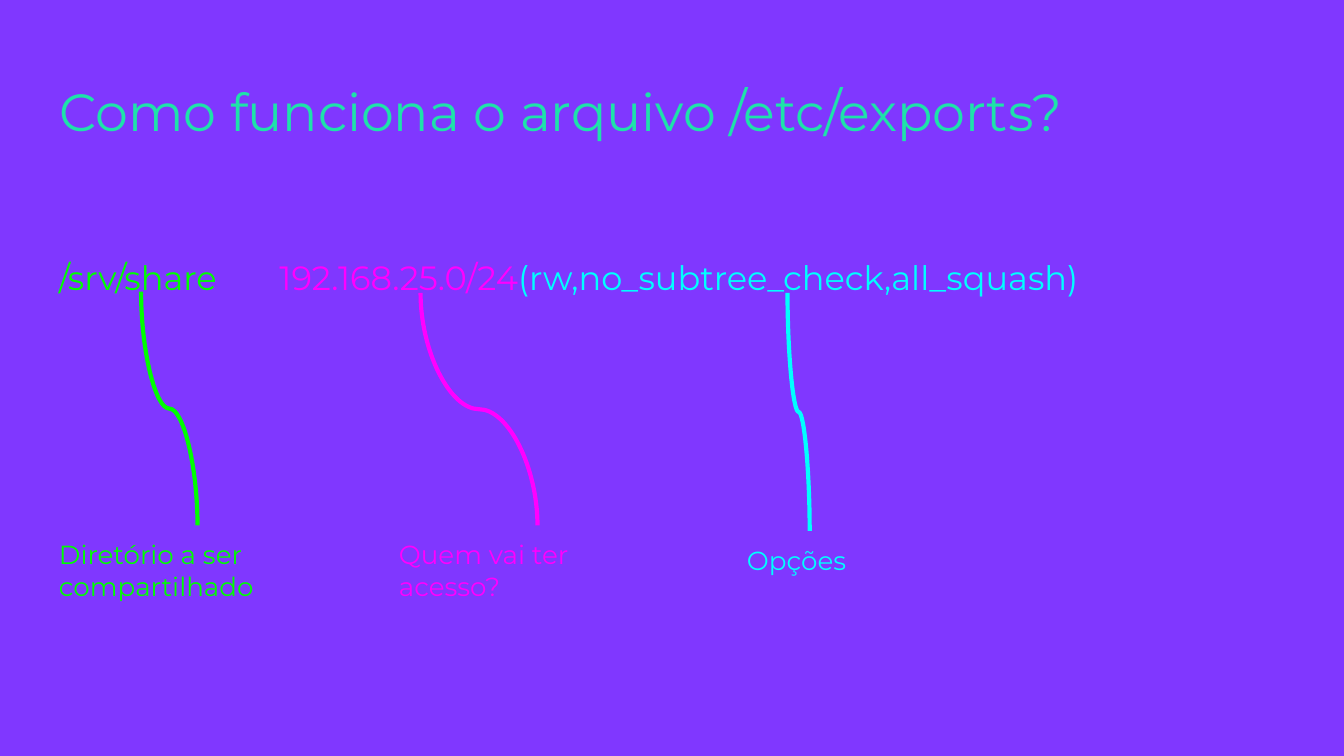
import dataclasses

import lxml.etree
import pptx
import pptx.dml.color
import pptx.enum.shapes
import pptx.enum.text
import pptx.oxml.ns
import pptx.util

Inches = pptx.util.Inches
qn = pptx.oxml.ns.qn


@dataclasses.dataclass(frozen=True)
class Theme:
    font: str = "Montserrat"
    background: str = "8037FF"
    title: str = "1EE2AA"
    directory: str = "00FF00"
    client: str = "FF00FF"
    options: str = "00FFFF"
    title_size: int = 28
    entry_size: int = 18
    label_size: int = 14
    line_width: float = 2.25


THEME = Theme()


def color(value):
    return pptx.dml.color.RGBColor.from_string(value)


def style_run(run, size, value):
    run.font.name = THEME.font
    run.font.size = pptx.util.Pt(size)
    run.font.color.rgb = color(value)


def prepare_frame(text_frame):
    text_frame.word_wrap = True
    text_frame.auto_size = pptx.enum.text.MSO_AUTO_SIZE.NONE
    text_frame.vertical_anchor = pptx.enum.text.MSO_ANCHOR.TOP
    text_frame.margin_left = text_frame.margin_right = Inches(0.1)
    text_frame.margin_top = text_frame.margin_bottom = Inches(0.1)


def set_title(slide, text):
    title = slide.shapes.title
    title.left, title.top = Inches(0.34), Inches(0.49)
    title.width, title.height = Inches(9.32), Inches(0.63)
    prepare_frame(title.text_frame)
    title.text_frame.text = text
    paragraph = title.text_frame.paragraphs[0]
    paragraph.alignment = pptx.enum.text.PP_ALIGN.LEFT
    paragraph.line_spacing = 1.0
    style_run(paragraph.runs[0], THEME.title_size, THEME.title)


def add_text(slide, left, top, width, height, parts, size):
    box = slide.shapes.add_textbox(Inches(left), Inches(top), Inches(width), Inches(height))
    prepare_frame(box.text_frame)
    paragraph = box.text_frame.paragraphs[0]
    for text, value in parts:
        run = paragraph.add_run()
        run.text = text
        style_run(run, size, value)
    return paragraph


def add_tab_stop(paragraph, position):
    properties = paragraph._p.get_or_add_pPr()
    tabs = lxml.etree.SubElement(properties, qn("a:tabLst"))
    lxml.etree.SubElement(tabs, qn("a:tab"), pos=str(Inches(position)), algn="l")


def add_vertical_curve(slide, start, end, value):
    center_x, center_y = (start[0] + end[0]) / 2, (start[1] + end[1]) / 2
    half_width, half_height = (start[0] - end[0]) / 2, (start[1] - end[1]) / 2
    connector = slide.shapes.add_connector(
        pptx.enum.shapes.MSO_CONNECTOR.CURVE,
        Inches(center_x + half_height), Inches(center_y - half_width),
        Inches(center_x - half_height), Inches(center_y + half_width),
    )
    connector.line.color.rgb = color(value)
    connector.line.width = pptx.util.Pt(THEME.line_width)
    properties = connector._element.spPr
    properties.find(qn("a:xfrm")).set("rot", str(90 * 60000))
    lxml.etree.SubElement(properties, qn("a:effectLst"))


def add_callout(slide, text, left, top, width, target, value):
    add_text(slide, left, top, width, 0.4, [(text, value)], THEME.label_size)
    add_vertical_curve(slide, (left + width / 2, top), target, value)


def main():
    presentation = pptx.Presentation()
    presentation.slide_width = Inches(10)
    presentation.slide_height = Inches(10 * 9 / 16)
    slide = presentation.slides.add_slide(presentation.slide_layouts[5])
    slide.background.fill.solid()
    slide.background.fill.fore_color.rgb = color(THEME.background)

    set_title(slide, "Como funciona o arquivo /etc/exports?")
    entry = add_text(slide, 0.34, 1.77, 9.32, 0.52, [
        ("/srv/share\t", THEME.directory),
        ("192.168.25.0/24", THEME.client),
        ("(rw,no_subtree_check,all_squash)", THEME.options),
    ], THEME.entry_size)
    add_tab_stop(entry, 1.64)
    entry.line_spacing = 1.15

    callouts = [
        ("Diretório a ser compartilhado", 0.34, 3.91, 2.26, (1.05, 2.17), THEME.directory),
        ("Quem vai ter acesso?", 2.87, 3.91, 2.26, (3.13, 2.18), THEME.client),
        ("Opções", 5.46, 3.95, 1.13, (5.86, 2.18), THEME.options),
    ]
    for callout in callouts:
        add_callout(slide, *callout)

    presentation.save("out.pptx")


if __name__ == "__main__":
    main()
